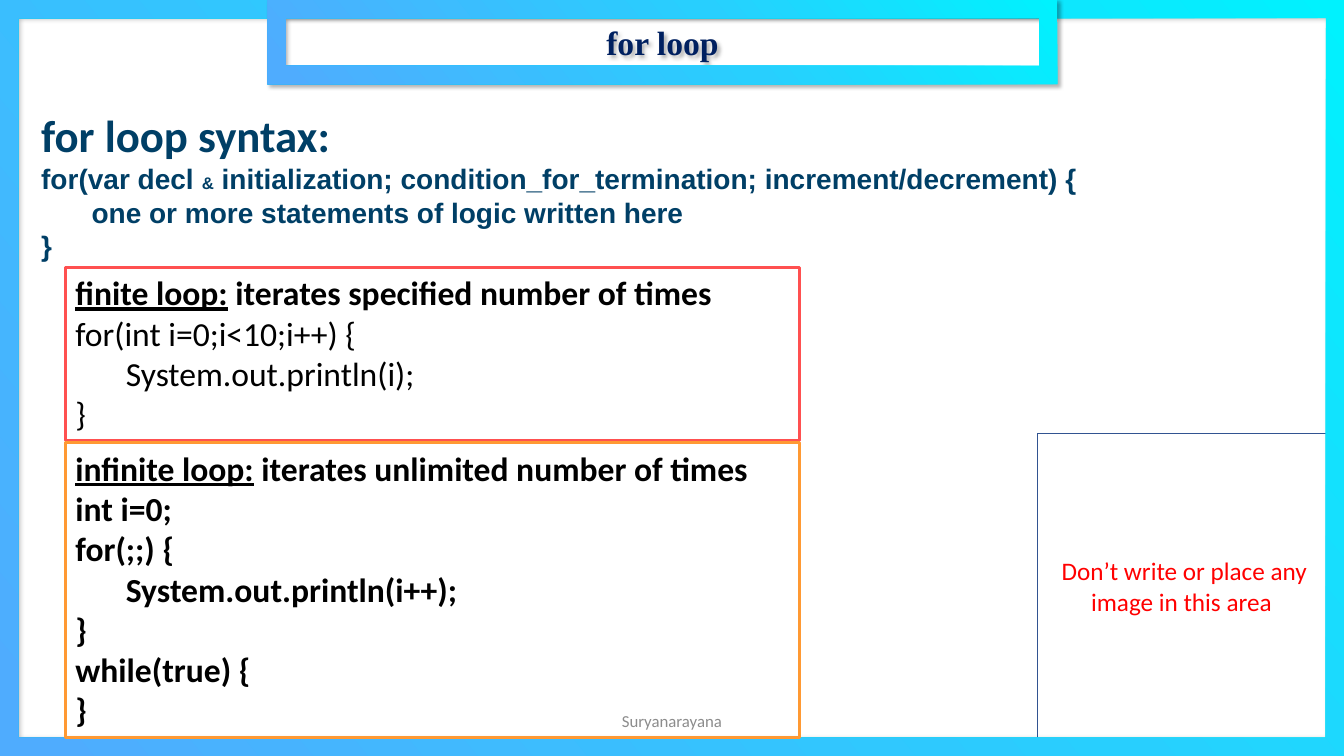
import lxml.etree
import pptx
import pptx.dml.color
import pptx.enum.shapes
import pptx.enum.text
import pptx.oxml
import pptx.oxml.ns
import pptx.util

Pt = pptx.util.Pt
Align = pptx.enum.text.PP_ALIGN
Anchor = pptx.enum.text.MSO_ANCHOR
Fit = pptx.enum.text.MSO_AUTO_SIZE
Preset = pptx.enum.shapes.MSO_SHAPE

# Content: a text is a list of paragraphs, a paragraph a list of (words, style)
SYNTAX = [
    [("for loop syntax:", "heading")],
    [("for(var decl ", "syntax"), ("&", "ampersand"),
     (" initialization; condition_for_termination; increment/decrement) {", "syntax")],
    [("\tone or more statements of logic written here", "syntax")],
    [("}", "syntax")],
]
FINITE = [
    [("finite loop:", "term"), (" iterates specified number of times", "strong")],
    [("for(int i=0;i<10;i++) {", "code")],
    [("\tSystem.out.println(i);", "code")],
    [("}", "code")],
]
INFINITE = [
    [("infinite loop:", "term"), (" iterates unlimited number of times", "strong")],
    *[[(line, "strong")] for line in (
        "int i=0;", "for(;;) {", "\tSystem.out.println(i++);", "}", "while(true) {", "}")],
]
TITLE = [[("for loop", "title")]]
RESERVED = [[("Don’t write or place any image in this area ", "reserved")]]
FOOTER = [[("Suryanarayana", "footer")]]

# Theme
THEME = {
    "white": "FFFFFF",
    "reserved_line": "325491",
    "finite_line": "FF5050",
    "infinite_line": "FF9933",
    "title": "002060",
    "gradient": [(0, "00F2FE"), (42, "28CFFE"), (98, "4FACFE")],
    "gradient_angle": 141,
    "styles": {
        "heading": {"name": "Calibri", "size": Pt(32), "bold": True, "color": "003F66"},
        "syntax": {"name": "Arial", "size": Pt(20), "bold": True, "color": "003F66"},
        "ampersand": {"name": "Arial", "size": Pt(12), "bold": True, "color": "003F66"},
        "term": {"name": "Calibri", "size": Pt(24), "bold": True, "underline": True,
                 "color": "000000"},
        "strong": {"name": "Calibri", "size": Pt(24), "bold": True, "color": "000000"},
        "code": {"name": "Calibri", "size": Pt(24), "bold": False, "color": "000000"},
        "title": {"name": "Times New Roman", "size": Pt(24), "bold": True, "color": "002060"},
        "reserved": {"name": "Calibri", "size": Pt(18), "color": "FF0000"},
        "footer": {"name": "Calibri", "size": Pt(12), "color": "8C8C8C"},
    },
}

# Layout, in points
WIDTH, HEIGHT, BORDER = 960, 540, 13
LOOP_LEFT, LOOP_WIDTH, LOOP_TOP, LOOP_GAP = 46.8, 524.2, 190.8, 1.5
FINITE_HEIGHT, INFINITE_HEIGHT = 123.8, 211
RESERVED_WIDTH, RESERVED_HEIGHT = 210, 218
TITLE_LEFT, TITLE_WIDTH, TITLE_HEIGHT = 191.2, 564, 60

deck = pptx.Presentation()
deck.slide_width, deck.slide_height = Pt(WIDTH), Pt(HEIGHT)
page = deck.slides.add_slide(deck.slide_layouts[6])


def rgb(code):
    return pptx.dml.color.RGBColor.from_string(code)


def parse_xml(tag, body):
    return pptx.oxml.parse_xml(f"<a:{tag} {pptx.oxml.ns.nsdecls('a')}{body}</a:{tag}>")


def write(box, text, align=Align.LEFT, **frame_format):
    frame = box.text_frame
    for key, value in {"word_wrap": True, "vertical_anchor": Anchor.TOP, **frame_format}.items():
        setattr(frame, key, value)
    for index, spans in enumerate(text):
        para = frame.add_paragraph() if index else frame.paragraphs[0]
        para.alignment = align
        for words, style in spans:
            span = para.add_run()
            span.text = words
            for key, value in THEME["styles"][style].items():
                if key == "color":
                    span.font.color.rgb = rgb(value)
                else:
                    setattr(span.font, key, value)


def add_box(kind, area, fill=None, line=None, weight=1):
    box = page.shapes.add_shape(kind, *map(Pt, area))
    box.shadow.inherit = False
    if fill:
        box.fill.solid()
        box.fill.fore_color.rgb = rgb(fill)
    else:
        box.fill.background()
    if line:
        box.line.color.rgb = rgb(line)
        box.line.width = Pt(weight)
    else:
        box.line.fill.background()
    return box


def add_gradient_frame(area):
    frame = add_box(Preset.FRAME, area)
    frame.adjustments[0] = round(BORDER / min(area[2:]), 3)
    stops = "".join(
        f'<a:gs pos="{place * 1000}"><a:srgbClr val="{color}"/></a:gs>'
        for place, color in THEME["gradient"])
    gradient = parse_xml("gradFill", f' rotWithShape="1"><a:gsLst>{stops}</a:gsLst>'
                         f'<a:lin ang="{THEME["gradient_angle"] * 60000}" scaled="0"/>')
    properties = frame.element.spPr
    plain = properties.find(pptx.oxml.ns.qn("a:noFill"))
    properties.replace(plain, gradient)
    shadow = parse_xml("outerShdw", f' blurRad="{Pt(3)}" dist="{Pt(2.1)}" dir="{39 * 60000}"'
                       ' algn="tl" rotWithShape="0"><a:srgbClr val="000000">'
                       '<a:alpha val="29000"/></a:srgbClr>')
    properties.find(pptx.oxml.ns.qn("a:effectLst")).append(shadow)
    return frame


def add_text(area, text, **formats):
    write(page.shapes.add_textbox(*map(Pt, area)), text, **formats)


# Syntax
add_text((22.3, 73.4, 907, 118.8), SYNTAX, align=Align.JUSTIFY, auto_size=Fit.SHAPE_TO_FIT_TEXT)

# Reserved corner, inside the border
reserved = add_box(
    Preset.RECTANGLE,
    (WIDTH - 9 - RESERVED_WIDTH, HEIGHT - 12.5 - RESERVED_HEIGHT, RESERVED_WIDTH, RESERVED_HEIGHT),
    THEME["white"], THEME["reserved_line"])
write(reserved, RESERVED, align=Align.CENTER, vertical_anchor=Anchor.MIDDLE)

# Page border and title frame
add_gradient_frame((0, 0, WIDTH, HEIGHT))
title = add_gradient_frame((TITLE_LEFT, 0, TITLE_WIDTH, TITLE_HEIGHT))
margins = {f"margin_{side}": Pt(3.6) for side in ("left", "top", "right", "bottom")}
write(title, TITLE, align=Align.CENTER, vertical_anchor=Anchor.MIDDLE, **margins)
outline = parse_xml("ln", f' w="{Pt(0.75)}"><a:solidFill>'
                    f'<a:srgbClr val="{THEME["title"]}"/></a:solidFill>')
title.text_frame.paragraphs[0].runs[0].font._element.insert(0, outline)

# Loop examples, stacked
top = LOOP_TOP
for text, height, line in (
        (FINITE, FINITE_HEIGHT, "finite_line"), (INFINITE, INFINITE_HEIGHT, "infinite_line")):
    example = add_box(Preset.RECTANGLE, (LOOP_LEFT, top, LOOP_WIDTH, height),
                      line=THEME[line], weight=2.25)
    write(example, text, auto_size=Fit.SHAPE_TO_FIT_TEXT)
    top += height + LOOP_GAP

# Footer
add_text((318, 500.5, 324, 28.8), FOOTER, align=Align.CENTER, vertical_anchor=Anchor.MIDDLE)

deck.save("out.pptx")
